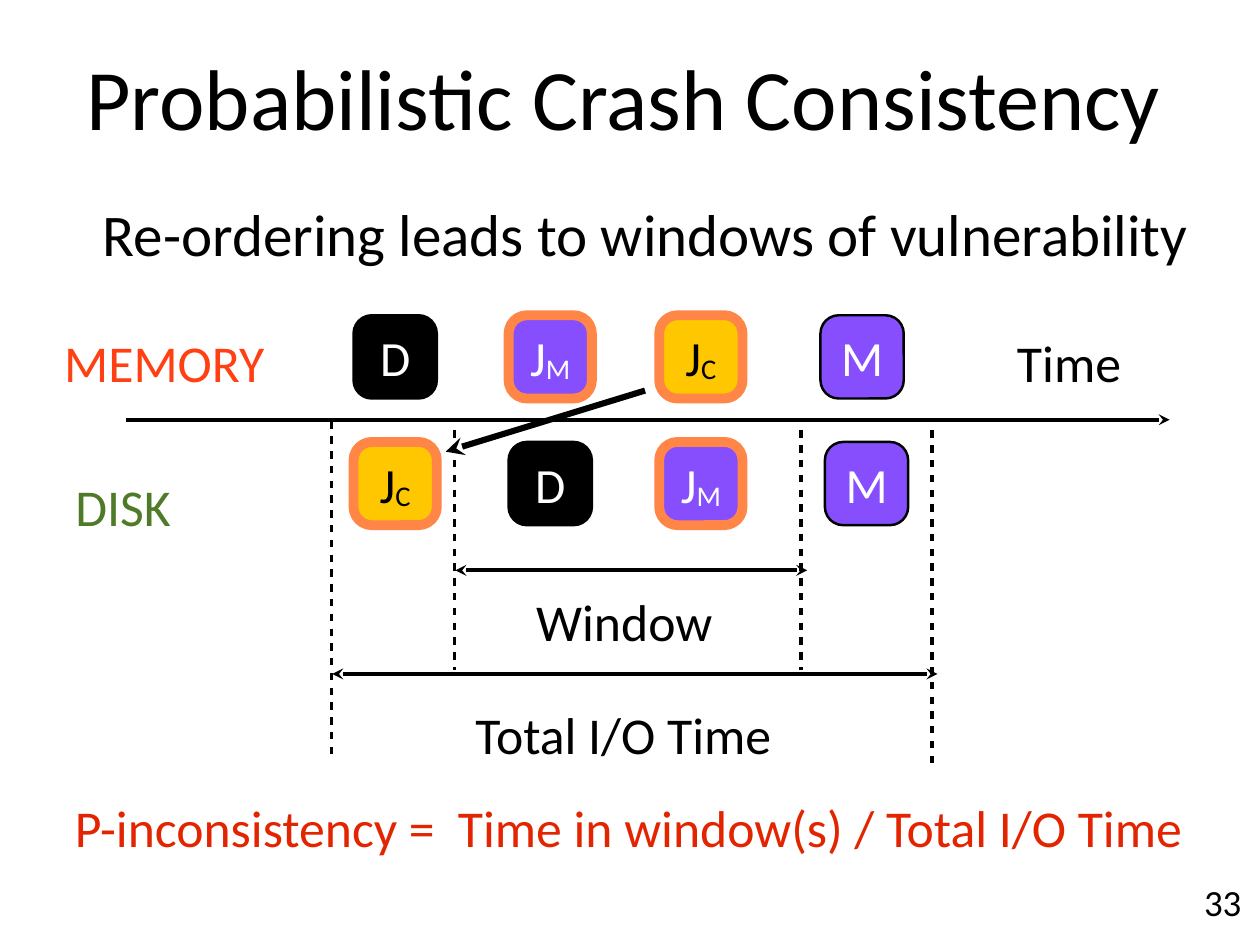
"""Build the slide on probabilistic crash consistency."""
from dataclasses import dataclass

from lxml import etree
from pptx import Presentation
from pptx import util as u
from pptx.dml.color import RGBColor
from pptx.enum import shapes, text
from pptx.oxml.ns import qn


@dataclass(frozen=True)
class Theme:
    font: str = "Calibri"
    black: str = "000000"
    white: str = "FFFFFF"
    purple: str = "874EFE"
    yellow: str = "FEC700"
    orange: str = "FF8647"
    memory: str = "FF4013"
    disk: str = "4F7A28"
    formula: str = "E32400"
    title_size: int = 70
    body_size: int = 48
    label_size: int = 42
    block_size: int = 40
    number_size: int = 30


class SlideBuilder:
    def __init__(self, slide, theme):
        self.slide = slide
        self.theme = theme

    def add_run(self, paragraph, words, size, color):
        run = paragraph.add_run()
        run.text = words
        run.font.name = self.theme.font
        run.font.size = u.Pt(size)
        run.font.color.rgb = RGBColor.from_string(color)
        return run

    def prepare(self, shape, inset=0.06, wrap=True, align=text.PP_ALIGN.CENTER):
        frame = shape.text_frame
        frame.margin_left = frame.margin_right = u.Inches(inset)
        frame.margin_top = frame.margin_bottom = u.Inches(inset)
        frame.vertical_anchor = text.MSO_ANCHOR.MIDDLE
        frame.word_wrap = wrap
        frame.auto_size = text.MSO_AUTO_SIZE.NONE
        paragraph = frame.paragraphs[0]
        paragraph.alignment = align
        return paragraph

    def place(self, shape, left, top, width, height):
        shape.left, shape.top = u.Inches(left), u.Inches(top)
        shape.width, shape.height = u.Inches(width), u.Inches(height)

    def title(self, words, *box):
        shape = self.slide.shapes.title
        self.place(shape, *box)
        self.add_run(self.prepare(shape), words, self.theme.title_size, self.theme.black)

    def body(self, words, *box):
        shape = self.slide.placeholders[1]
        self.place(shape, *box)
        paragraph = self.prepare(shape, inset=0.03, align=text.PP_ALIGN.LEFT)
        paragraph.space_before = u.Pt(24)
        properties = paragraph._p.get_or_add_pPr()
        properties.set("marL", "0")
        properties.set("indent", str(u.Inches(0.56)))
        etree.SubElement(properties, qn("a:buNone"))
        self.add_run(paragraph, words, self.theme.body_size, self.theme.black)

    def label(self, words, left, top, width, height=0.79, color=None, wrap=False):
        shape = self.slide.shapes.add_textbox(*map(u.Inches, (left, top, width, height)))
        paragraph = self.prepare(shape, wrap=wrap)
        shape.text_frame.auto_size = text.MSO_AUTO_SIZE.SHAPE_TO_FIT_TEXT
        self.add_run(paragraph, words, self.theme.label_size, color or self.theme.black)

    def slide_number(self, number, *box):
        shape = self.slide.shapes.add_textbox(*map(u.Inches, box))
        paragraph = self.prepare(shape, inset=0, wrap=False)
        self.add_run(paragraph, number, self.theme.number_size, self.theme.black)

    def block(self, name, left, top, fill, outline, outline_width, ink):
        side = u.Inches(0.94)
        shape = self.slide.shapes.add_shape(
            shapes.MSO_SHAPE.ROUNDED_RECTANGLE, u.Inches(left), u.Inches(top), side, side)
        shape.adjustments[0] = 0.22
        shape.shadow.inherit = False
        shape.fill.solid()
        shape.fill.fore_color.rgb = RGBColor.from_string(fill)
        shape.line.color.rgb = RGBColor.from_string(outline)
        shape.line.width = u.Pt(outline_width)
        paragraph = self.prepare(shape)
        self.add_run(paragraph, name[0], self.theme.block_size, ink)
        for subscript in name[1:]:
            run = self.add_run(paragraph, subscript, self.theme.block_size, ink)
            run.font._element.set("baseline", "-6000")

    def line(self, start, end, width=3, dashed=False, arrows=()):
        connector = self.slide.shapes.add_connector(
            shapes.MSO_CONNECTOR.STRAIGHT, *map(u.Inches, (*start, *end)))
        connector.line.color.rgb = RGBColor.from_string(self.theme.black)
        connector.line.width = u.Pt(width)
        outline = connector.line._ln
        if dashed:
            dash = etree.SubElement(outline, qn("a:custDash"))
            etree.SubElement(dash, qn("a:ds"), d="200000", sp="200000")
        for arrow in arrows:
            etree.SubElement(outline, qn(f"a:{arrow}"), type="stealth")
        etree.SubElement(connector._element.spPr, qn("a:effectLst"))


def main():
    presentation = Presentation()
    presentation.slide_width = u.Inches(14.22)
    presentation.slide_height = u.Inches(10.67)
    theme = Theme()
    slide = presentation.slides.add_slide(presentation.slide_layouts[1])
    builder = SlideBuilder(slide, theme)

    builder.title("Probabilistic Crash Consistency", 0.5, 0.26, 13.07, 1.65)
    builder.body("Re-ordering leads to windows of vulnerability", 0.57, 1.96, 13.07, 1.33)

    block_styles = {
        "D": (theme.black, theme.black, 2, theme.white),
        "JM": (theme.purple, theme.orange, 8, theme.white),
        "JC": (theme.yellow, theme.orange, 8, theme.black),
        "M": (theme.purple, theme.black, 2, theme.white),
    }
    block_rows = [
        (3.56, [("D", 3.99), ("JM", 5.74), ("JC", 7.44), ("M", 9.26)]),
        (4.99, [("JC", 3.99), ("D", 5.74), ("JM", 7.44), ("M", 9.31)]),
    ]
    for top, blocks in block_rows:
        for name, left in blocks:
            builder.block(name, left, top, *block_styles[name])

    for x, top, bottom in [(3.74, 4.76, 8.54), (5.13, 4.86, 7.56),
                           (9.04, 4.86, 7.56), (10.52, 4.86, 8.65)]:
        builder.line((x, top), (x, bottom), dashed=True)
    for left, right, y in [(5.14, 9.11, 6.44), (3.75, 10.58, 7.61)]:
        builder.line((left, y), (right, y), arrows=("headEnd", "tailEnd"))
    builder.line((1.42, 4.74), (13.2, 4.74), arrows=("tailEnd",))
    builder.line((7.28, 4.41), (5.03, 5.1), width=5, arrows=("tailEnd",))

    builder.label("MEMORY", 0.47, 3.69, 2.77, color=theme.memory, wrap=True)
    builder.label("DISK", 0.71, 5.32, 1.36, color=theme.disk)
    builder.label("Time", 11.4, 3.69, 1.33)
    builder.label("Window", 5.95, 6.62, 2.19)
    builder.label("Total I/O Time", 5.27, 7.89, 3.53)
    builder.label("P-inconsistency =  Time in window(s) / Total I/O Time",
                  0.35, 8.94, 13.49, color=theme.formula, wrap=True)
    builder.slide_number("33", 13.53, 9.88, 0.54, 0.6)
    presentation.save("out.pptx")


if __name__ == "__main__":
    main()
